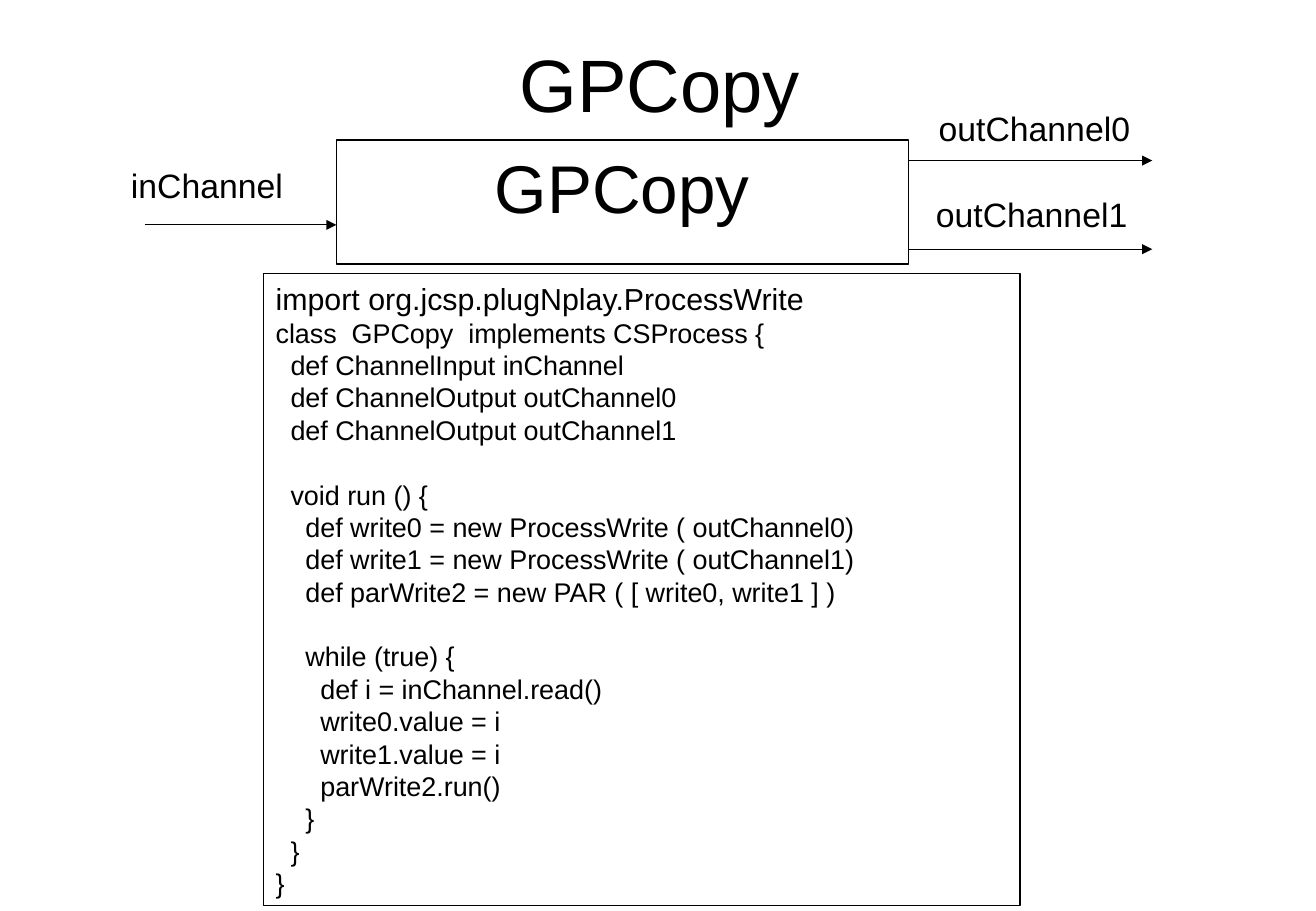
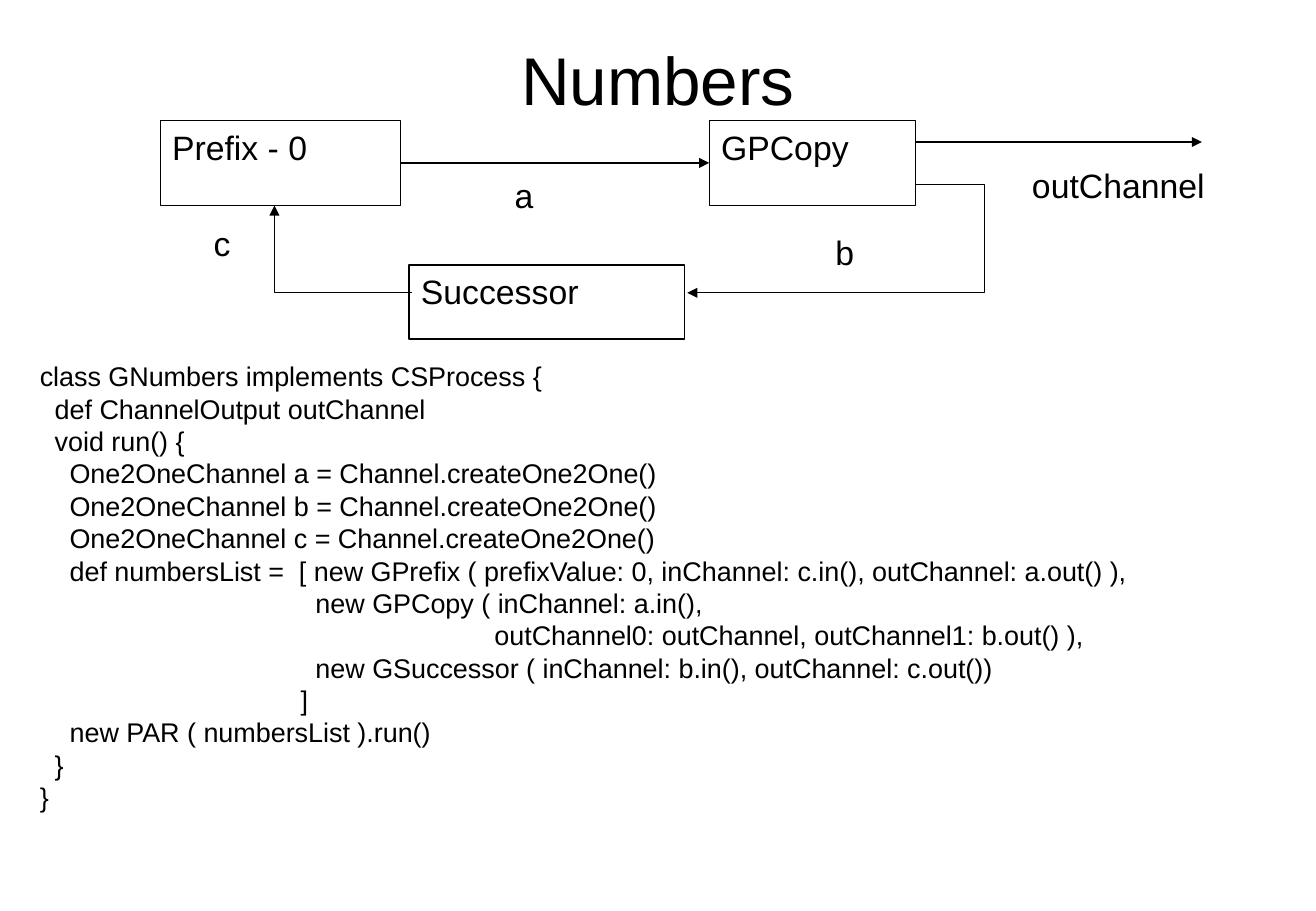
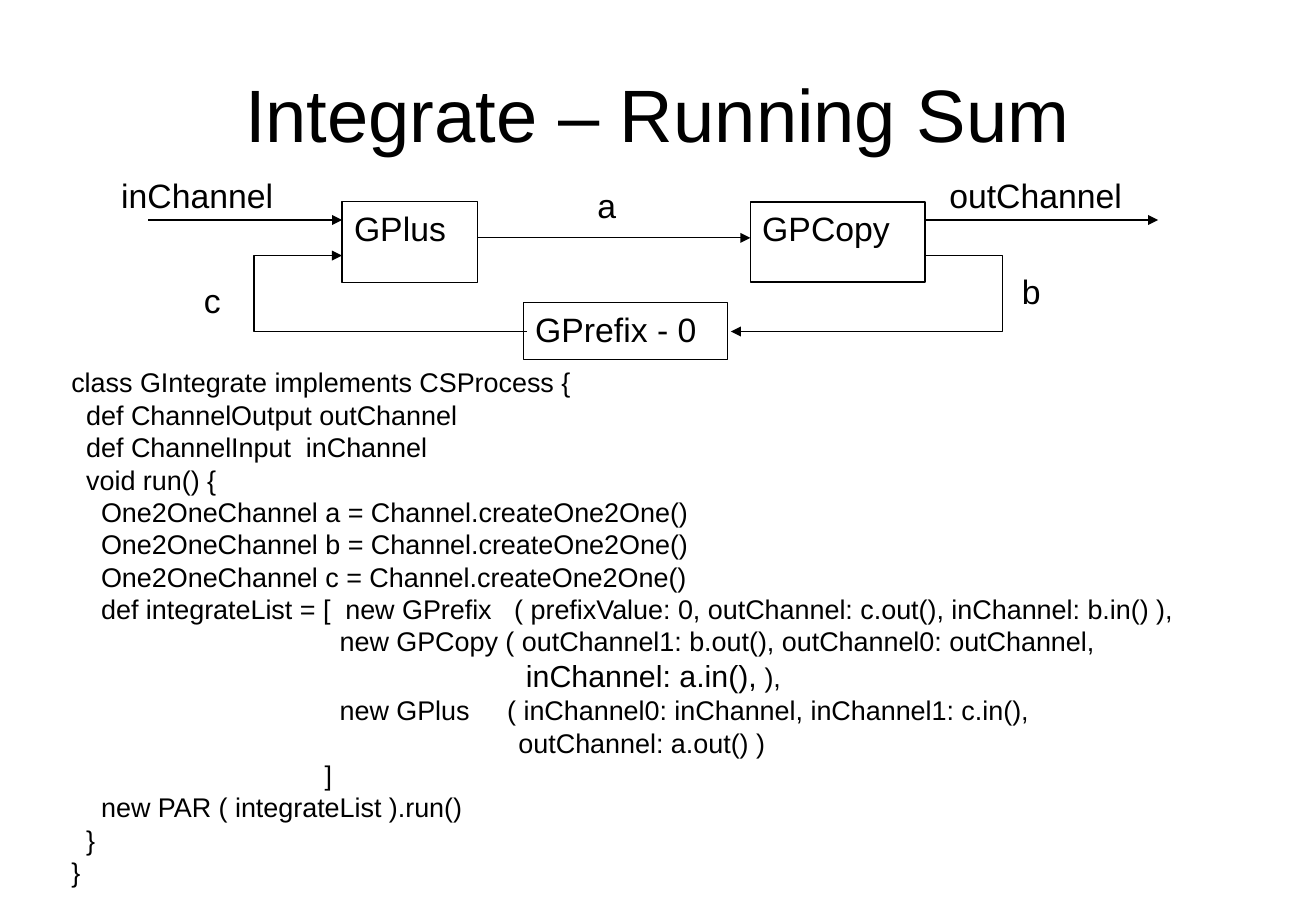
from dataclasses import dataclass

from lxml.etree import SubElement
from pptx import Presentation
from pptx.dml.color import RGBColor
from pptx.enum.shapes import MSO_CONNECTOR, MSO_SHAPE
from pptx.enum.text import MSO_ANCHOR, MSO_AUTO_SIZE, PP_ALIGN
from pptx.oxml.ns import qn
from pptx.util import Pt

HUES = {"ink": "000000", "paper": "FFFFFF"}
FONT = "Arial"
WIDE, HIGH = 780.48, 540
THIN = 0.75
SMALL, LARGE = 16, 18
SPACE = 4.42
LEADING = 1.2

Rect = tuple[float, float, float, float]
Point = tuple[float, float]


@dataclass
class Box:
    text: str
    at: Rect
    size: float = 20
    framed: bool = False
    align: PP_ALIGN = PP_ALIGN.LEFT


@dataclass
class Wire:
    points: tuple[Point, ...]
    start: str = ""
    end: str = ""


@dataclass
class Code:
    at: Rect
    text: str
    large: str = ""
    framed: bool = False
    stops: tuple[tuple[float, ...], ...] = ()


@dataclass
class Page:
    title: Box
    boxes: tuple[Box, ...]
    wires: tuple[Wire, ...]
    code: Code


def hue(name: str) -> RGBColor:
    return RGBColor.from_string(HUES[name])


def place(shape, at: Rect) -> None:
    shape.left, shape.top, shape.width, shape.height = map(Pt, at)


def write(para, text: str, size: float) -> None:
    run = para.add_run()
    run.text = text
    run.font.name = FONT
    run.font.size = Pt(size)
    run.font.color.rgb = hue("ink")


def stroke(line) -> None:
    line.color.rgb = hue("ink")
    line.width = Pt(THIN)


def draw_title(slide, title: Box) -> None:
    shape = slide.shapes.title
    place(shape, title.at)
    frame = shape.text_frame
    frame.auto_size = MSO_AUTO_SIZE.NONE
    frame.vertical_anchor = MSO_ANCHOR.MIDDLE
    para = frame.paragraphs[0]
    para.alignment = PP_ALIGN.CENTER
    write(para, title.text, title.size)


def draw_box(slide, box: Box):
    shape = slide.shapes.add_shape(MSO_SHAPE.RECTANGLE, *map(Pt, box.at))
    shape.shadow.inherit = False
    shape.fill.solid()
    shape.fill.fore_color.rgb = hue("paper")
    if box.framed:
        stroke(shape.line)
    else:
        shape.line.fill.background()
    frame = shape.text_frame
    frame.word_wrap = True
    frame.vertical_anchor = MSO_ANCHOR.TOP
    para = frame.paragraphs[0]
    para.alignment = box.align
    write(para, box.text, box.size)
    return shape


def draw_wire(slide, wire: Wire, nodes: dict) -> None:
    points = [(Pt(x), Pt(y)) for x, y in wire.points]
    if len(points) == 2:
        shape = slide.shapes.add_connector(
            MSO_CONNECTOR.STRAIGHT, *points[0], *points[1])
        if wire.start:
            shape.begin_connect(nodes[wire.start], 3)
        if wire.end:
            shape.end_connect(nodes[wire.end], 1)
    else:
        maker = slide.shapes.build_freeform(*points[0])
        maker.add_line_segments(points[1:], close=False)
        shape = maker.convert_to_shape()
        shape.fill.background()
    stroke(shape.line)
    SubElement(shape.line._get_or_add_ln(), qn("a:tailEnd"), type="triangle")
    SubElement(shape._element.spPr, qn("a:effectLst"))


def draw_code(slide, code: Code) -> None:
    shape = slide.shapes.add_textbox(*map(Pt, code.at))
    if code.framed:
        stroke(shape.line)
    frame = shape.text_frame
    frame.word_wrap = True
    stops = iter(code.stops)
    para, gap = frame.paragraphs[0], 0
    for count, row in enumerate(code.text.strip("\n").splitlines()):
        text = row.lstrip(" ")
        if not text:
            gap += SMALL * LEADING
            continue
        if count:
            para = frame.add_paragraph()
        big = bool(code.large) and code.large in text
        para.line_spacing = Pt((LARGE if big else SMALL) * LEADING)
        para.space_before = Pt(gap)
        gap = 0
        props = para._p.get_or_add_pPr()
        pad = (len(row) - len(text)) * SPACE
        if "\t" in text:
            text = "\t" + text
            tabs = SubElement(props, qn("a:tabLst"))
            for stop in (pad, *next(stops)):
                SubElement(tabs, qn("a:tab"), pos=str(Pt(stop)), algn="l")
        else:
            props.set("marL", str(Pt(pad)))
            props.set("indent", "0")
        if big:
            write(para, code.large, LARGE)
            text = text.removeprefix(code.large)
        if text:
            write(para, text, SMALL)


def draw_page(deck, page: Page) -> None:
    slide = deck.slides.add_slide(deck.slide_layouts[5])
    draw_title(slide, page.title)
    nodes = {box.text: draw_box(slide, box) for box in page.boxes}
    for wire in page.wires:
        draw_wire(slide, wire, nodes)
    draw_code(slide, page.code)


COPY = """
import org.jcsp.plugNplay.ProcessWrite
class  GPCopy  implements CSProcess {
  def ChannelInput inChannel
  def ChannelOutput outChannel0
  def ChannelOutput outChannel1

  void run () {
    def write0 = new ProcessWrite ( outChannel0)
    def write1 = new ProcessWrite ( outChannel1)
    def parWrite2 = new PAR ( [ write0, write1 ] )

    while (true) {
      def i = inChannel.read()
      write0.value = i
      write1.value = i
      parWrite2.run()
    }
  }
}
"""

COUNT = """
class GNumbers implements CSProcess {
  def ChannelOutput outChannel
  void run() {
    One2OneChannel a = Channel.createOne2One()
    One2OneChannel b = Channel.createOne2One()
    One2OneChannel c = Channel.createOne2One()
    def numbersList =  [ new GPrefix ( prefixValue: 0, inChannel: c.in(), outChannel: a.out() ),
                                     new GPCopy ( inChannel: a.in(),
                                                             outChannel0: outChannel, outChannel1: b.out() ),
                                     new GSuccessor ( inChannel: b.in(), outChannel: c.out())
                                   ]
    new PAR ( numbersList ).run()
  }
}
"""

SUM = """
class GIntegrate implements CSProcess {
  def ChannelOutput outChannel
  def ChannelInput  inChannel
  void run() {
    One2OneChannel a = Channel.createOne2One()
    One2OneChannel b = Channel.createOne2One()
    One2OneChannel c = Channel.createOne2One()
    def integrateList = [\tnew GPrefix\t( prefixValue: 0, outChannel: c.out(), inChannel: b.in() ),
                                    new GPCopy ( outChannel1: b.out(), outChannel0: outChannel,
                                                             inChannel: a.in(), ),
                                    new GPlus\t( inChannel0: inChannel, inChannel1: c.in(),
                                                            outChannel: a.out() )
                                  ]
    new PAR ( integrateList ).run()
  }
}
"""

PAGES = (
    Page(
        Box("GPCopy", (40.4, 15.2, 702, 67.8), 44),
        (
            Box("outChannel0", (549.6, 60.5, 144.7, 29.5)),
            Box("inChannel", (70.6, 94.4, 119.5, 33.8)),
            Box("outChannel1", (548, 111.6, 144.7, 33.8)),
            Box("GPCopy", (199.5, 83, 339.2, 73.6), 40, True, PP_ALIGN.CENTER),
        ),
        (
            Wire(((538.7, 95.2), (683.4, 95.2))),
            Wire(((538.7, 147.7), (683.4, 147.7))),
            Wire(((85.8, 133.3), (199.5, 133.3))),
        ),
        Code((156.4, 162.3, 448.6, 374.4), COPY,
             "import org.jcsp.plugNplay.ProcessWrite", True),
    ),
    Page(
        Box("Numbers", (39.2, 21.6, 702, 49.7), 40),
        (
            Box("a", (298.1, 100.1, 47.5, 43.9)),
            Box("b", (488.4, 134, 36.7, 33.8)),
            Box("c", (119.7, 128.3, 41, 50.4)),
            Box("outChannel", (605, 94.4, 131.8, 32.4)),
            Box("Prefix - 0", (95, 71.4, 142.6, 50.4), framed=True),
            Box("GPCopy", (420.6, 71.4, 122.4, 50.4), framed=True),
            Box("Successor", (242.6, 157, 163.4, 43.9), framed=True),
        ),
        (
            Wire(((237.6, 96.6), (420.6, 96.6)), "Prefix - 0", "GPCopy"),
            Wire(((543, 84.2), (712.8, 84.2))),
            Wire(((543, 109.5), (584, 109.5), (584, 173.6), (407.6, 173.6))),
            Wire(((244.2, 173.6), (162.8, 173.6), (162.8, 121.8))),
        ),
        Code((16.5, 209.8, 675, 275.8), COUNT),
    ),
    Page(
        Box("Integrate – Running Sum", (39.2, 21.8, 702, 90), 44),
        (
            Box("outChannel", (556, 100.1, 144, 28.8)),
            Box("inChannel", (64.8, 100.1, 138.2, 37.4)),
            Box("b", (599, 157, 25.9, 30.2)),
            Box("c", (113.8, 162.2, 24.5, 30.2)),
            Box("a", (347.2, 106, 31, 28)),
            Box("GPrefix - 0", (310.3, 179.4, 121, 33.8), framed=True),
            Box("GPlus", (202.9, 119.5, 80.5, 48.2), framed=True),
            Box("GPCopy", (445, 119.7, 103.7, 47.5), framed=True),
        ),
        (
            Wire(((87.9, 130.4), (202.9, 130.4))),
            Wire(((283.4, 141), (445, 141))),
            Wire(((548.7, 130.4), (686.9, 130.4))),
            Wire(((548.7, 151.5), (594.8, 151.5), (594.8, 196.5), (433.5, 196.5))),
            Wire(((312.4, 196.5), (150.7, 196.5), (150.7, 151.5), (202.9, 151.5))),
        ),
        Code((35.2, 213.4, 685, 316.8), SUM, "inChannel: a.in(),",
             stops=((162.5, 262.7), (258.5,))),
    ),
)


def main() -> None:
    deck = Presentation()
    deck.slide_width, deck.slide_height = Pt(WIDE), Pt(HIGH)
    for page in PAGES:
        draw_page(deck, page)
    deck.save("out.pptx")


if __name__ == "__main__":
    main()
